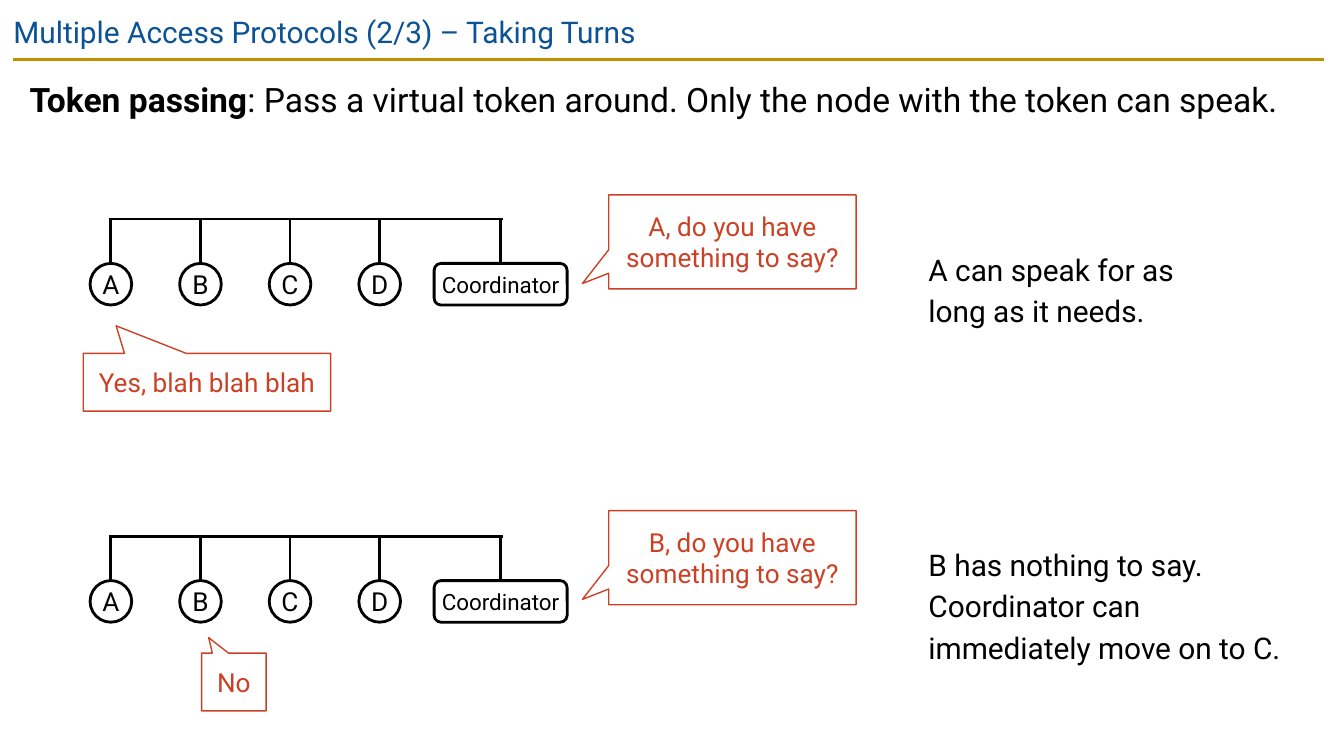
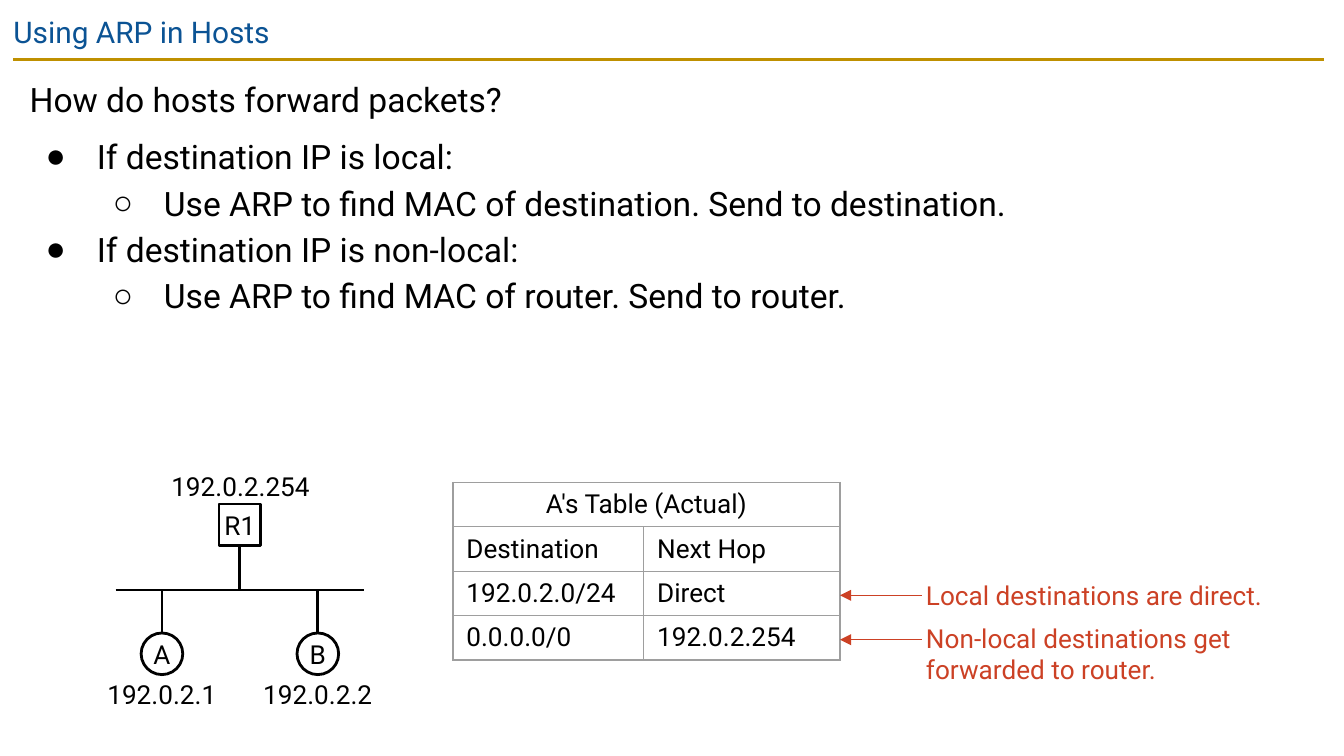
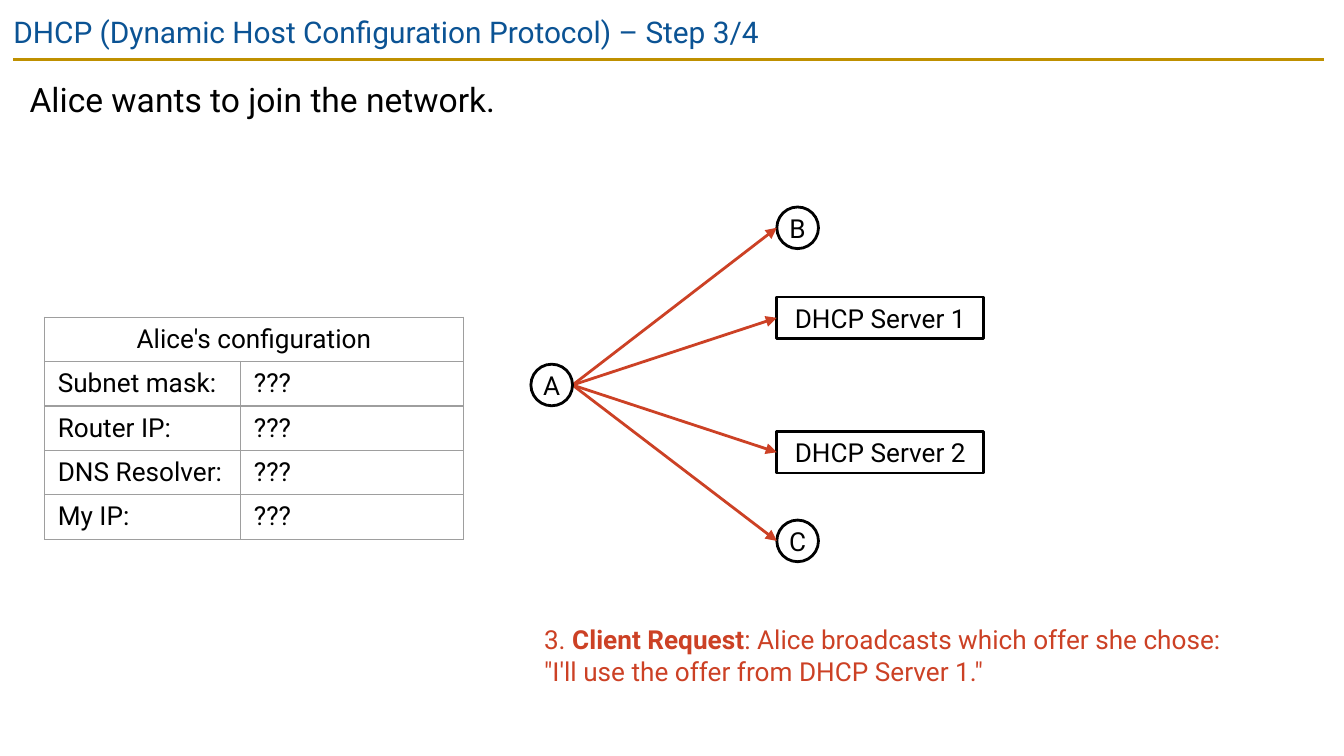
from dataclasses import dataclass
from typing import Optional, Sequence

from lxml import etree
from pptx import Presentation
from pptx.dml.color import RGBColor
from pptx.enum.shapes import MSO_CONNECTOR, MSO_SHAPE
from pptx.enum.text import MSO_ANCHOR, MSO_AUTO_SIZE, PP_ALIGN
from pptx.oxml.ns import qn
from pptx.util import Inches, Pt

STRAIGHT = MSO_CONNECTOR.STRAIGHT
OVAL, RECT, ROUNDED = MSO_SHAPE.OVAL, MSO_SHAPE.RECTANGLE, MSO_SHAPE.ROUNDED_RECTANGLE
CALLOUT = MSO_SHAPE.ROUNDED_RECTANGULAR_CALLOUT
TOP, MIDDLE = MSO_ANCHOR.TOP, MSO_ANCHOR.MIDDLE
LEFT, CENTER = PP_ALIGN.LEFT, PP_ALIGN.CENTER
SITE_TOP, SITE_LEFT, SITE_BOTTOM = 0, 1, 2


@dataclass(frozen=True)
class Theme:
    font: str = "Roboto"
    ink: str = "000000"
    paper: str = "FFFFFF"
    title: str = "0B5394"
    rule: str = "BF9000"
    accent: str = "CC4125"
    grid: str = "9E9E9E"
    body_size: int = 18
    title_size: int = 16
    note_size: int = 16
    label_size: int = 14
    small_size: int = 12
    thick: float = 1.5
    thin: float = 0.75
    spacing: float = 1.15


T = Theme()
NODE = 0.31  # diameter of a node, height of a box
HALF = NODE / 2


@dataclass(frozen=True)
class Run:
    text: str
    bold: bool = False


@dataclass(frozen=True)
class Para:
    runs: Sequence[Run]
    level: int = 0
    bullet: str = ""
    before: float = 0


@dataclass(frozen=True)
class Style:
    size: int = T.label_size
    color: str = T.ink
    align: PP_ALIGN = LEFT
    spacing: Optional[float] = None


@dataclass(frozen=True)
class Box:
    x: float
    y: float
    w: float
    h: float

    def lengths(self):
        return [Inches(v) for v in (self.x, self.y, self.w, self.h)]


@dataclass(frozen=True)
class Callout:
    text: str
    box: Box
    tip: tuple


@dataclass(frozen=True)
class Round:
    """One turn of the token: the bus, what is said, and the remark."""
    top: float
    callouts: Sequence[Callout]
    remark: Sequence[str]
    remark_box: Box


LABEL = Style(align=CENTER)
SMALL = Style(T.small_size, align=CENTER)
RED = Style(color=T.accent)
RED_CENTER = Style(color=T.accent, align=CENTER)
TITLE = Style(T.title_size, T.title)
BODY = Style(T.body_size, spacing=T.spacing)
NOTE = Style(T.note_size, spacing=T.spacing)


def plain(*lines: str) -> list:
    return [Para([Run(line)]) for line in lines]


# Text
def write(tf, paras: Sequence[Para], style: Style) -> None:
    tf.word_wrap = True
    for i, para in enumerate(paras):
        p = tf.paragraphs[0] if i == 0 else tf.add_paragraph()
        p.alignment = style.align
        p.level = para.level
        p.space_before = Pt(para.before)
        if style.spacing:
            p.line_spacing = style.spacing
        for run in para.runs:
            r = p.add_run()
            r.text = run.text
            r.font.name, r.font.size, r.font.bold = T.font, Pt(style.size), run.bold
            r.font.color.rgb = RGBColor.from_string(style.color)


def set_frame(tf, margin: float, anchor=TOP) -> None:
    tf.margin_left = tf.margin_right = Inches(margin)
    tf.margin_top = tf.margin_bottom = Inches(margin)
    tf.vertical_anchor = anchor
    tf.auto_size = MSO_AUTO_SIZE.NONE


def set_bullet(p, para: Para) -> None:
    pPr = p._p.get_or_add_pPr()
    indent = 0.38 if para.bullet else 0
    margin = 0.5 * (para.level + 1) if para.bullet else 0
    pPr.set("marL", str(Inches(margin)))
    pPr.set("indent", str(-Inches(indent)))
    if not para.bullet:
        etree.SubElement(pPr, qn("a:buNone"))
        return
    color = etree.SubElement(pPr, qn("a:buClr"))
    etree.SubElement(color, qn("a:srgbClr"), val=T.ink)
    etree.SubElement(pPr, qn("a:buChar"), char=para.bullet)


def add_text(s, box: Box, paras: Sequence[Para], style: Style, margin: float = 0.1) -> None:
    tf = s.shapes.add_textbox(*box.lengths()).text_frame
    set_frame(tf, margin)
    write(tf, paras, style)


# Lines and shapes
def add_line(s, start: tuple, end: tuple, color: str = T.ink, width: float = T.thick,
             arrow: bool = False):
    points = [Inches(v) for v in (*start, *end)]
    line = s.shapes.add_connector(STRAIGHT, *points)
    line.line.color.rgb = RGBColor.from_string(color)
    line.line.width = Pt(width)
    spPr = line.element.spPr
    if arrow:
        etree.SubElement(spPr.find(qn("a:ln")), qn("a:tailEnd"), type="triangle")
    etree.SubElement(spPr, qn("a:effectLst"))
    return line


def add_box(s, kind, box: Box, text: str, style: Style = LABEL, fill: Optional[str] = T.paper,
            width: float = T.thick, adjust: Sequence[float] = ()):
    sp = s.shapes.add_shape(kind, *box.lengths())
    sp.shadow.inherit = False
    if fill:
        sp.fill.solid()
        sp.fill.fore_color.rgb = RGBColor.from_string(fill)
    else:
        sp.fill.background()
    sp.line.color.rgb = RGBColor.from_string(style.color)
    sp.line.width = Pt(width)
    for i, value in enumerate(adjust):
        sp.adjustments[i] = value
    set_frame(sp.text_frame, 0, MIDDLE)
    write(sp.text_frame, plain(text), style)
    return sp


def add_node(s, name: str, x: float, y: float):
    return add_box(s, OVAL, Box(x, y, NODE, NODE), name)


def add_callout(s, callout: Callout) -> None:
    add_box(s, CALLOUT, callout.box, callout.text, RED_CENTER, None, T.thin, (*callout.tip, 0))


# Tables
def set_borders(cell) -> None:
    tcPr = cell._tc.get_or_add_tcPr()
    for i, side in enumerate(("lnL", "lnR", "lnT", "lnB")):
        ln = etree.Element(qn(f"a:{side}"), w=str(Pt(T.thin)))
        fill = etree.SubElement(ln, qn("a:solidFill"))
        etree.SubElement(fill, qn("a:srgbClr"), val=T.grid)
        tcPr.insert(i, ln)


def add_grid(s, x: float, y: float, widths: Sequence[float], heading: str,
             rows: Sequence[tuple], row_height: float = 0.33) -> None:
    count = len(rows) + 1
    box = Box(x, y, sum(widths), row_height * count)
    table = s.shapes.add_table(count, len(widths), *box.lengths()).table
    table.first_row = table.horz_banding = False
    for column, width in zip(table.columns, widths):
        column.width = Inches(width)
    table.cell(0, 0).merge(table.cell(0, len(widths) - 1))
    write(table.cell(0, 0).text_frame, plain(heading), LABEL)
    for i, row in enumerate(rows, start=1):
        for j, text in enumerate(row):
            write(table.cell(i, j).text_frame, plain(text), Style())
    for cell in table.iter_cells():
        cell.fill.background()
        set_borders(cell)


# Shared frame of every slide
def add_slide(prs, title: str, body: Sequence[Para], body_height: float):
    s = prs.slides.add_slide(prs.slide_layouts[1])
    parts = ((s.shapes.title, Box(0, 0, 10, 0.43), plain(title), TITLE),
             (s.placeholders[1], Box(0.12, 0.44, 9.74, body_height), body, BODY))
    for sp, box, paras, style in parts:
        sp.left, sp.top, sp.width, sp.height = box.lengths()
        set_frame(sp.text_frame, 0.1)
        write(sp.text_frame, paras, style)
    for p, para in zip(s.placeholders[1].text_frame.paragraphs, body):
        set_bullet(p, para)
    add_line(s, (0.1, 0.44), (9.85, 0.44), T.rule)
    return s


# Slide 1: token passing
def add_bus(s, top: float) -> None:
    left, pitch, rail = 0.67, 2 / 3, top - 0.33
    stations = [(add_node(s, name, left + i * pitch, top), left + i * pitch + HALF)
                for i, name in enumerate("ABCD")]
    coordinator = add_box(s, ROUNDED, Box(3.23, top, 0.99, NODE), "Coordinator", SMALL)
    stations.append((coordinator, 3.23 + 0.99 / 2))
    for sp, x in stations:
        add_line(s, (x, top), (x, rail)).begin_connect(sp, SITE_TOP)
    add_line(s, (0.81, rail), (3.74, rail))


def build_token_passing(prs) -> None:
    body = [Para([Run("Token passing", True),
                  Run(": Pass a virtual token around. Only the node with the token can speak.")])]
    s = add_slide(prs, "Multiple Access Protocols (2/3) – Taking Turns", body, 0.7)
    ask = (-0.607, 0.444)
    rounds = (
        Round(1.96,
              (Callout("A, do you have something to say?", Box(4.53, 1.45, 1.84, 0.7), ask),
               Callout("Yes, blah blah blah", Box(0.62, 2.63, 1.84, 0.43), (-0.367, -0.978))),
              ("A can speak for as long as it needs.",), Box(6.81, 1.73, 2.21, 0.78)),
        Round(4.32,
              (Callout("B, do you have something to say?", Box(4.53, 3.8, 1.84, 0.7), ask),
               Callout("No", Box(1.5, 4.86, 0.48, 0.43), (-0.39, -0.768))),
              ("B has nothing to say.", "Coordinator can immediately move on to C."),
              Box(6.81, 3.93, 2.92, 1.09)),
    )
    for turn in rounds:
        add_bus(s, turn.top)
        for callout in turn.callouts:
            add_callout(s, callout)
        add_text(s, turn.remark_box, plain(*turn.remark), NOTE)


# Slide 2: ARP in hosts
def build_arp(prs) -> None:
    body = [
        Para([Run("How do hosts forward packets?")]),
        Para([Run("If destination IP is local:")], 0, "●", 6),
        Para([Run("Use ARP to find MAC of destination. Send to destination.")], 1, "○"),
        Para([Run("If destination IP is non-local:")], 0, "●"),
        Para([Run("Use ARP to find MAC of router. Send to router.")], 1, "○"),
    ]
    s = add_slide(prs, "Using ARP in Hosts", body, 2.37)
    add_grid(s, 3.37, 3.59, (1.42, 1.46), "A's Table (Actual)",
             (("Destination", "Next Hop"), ("192.0.2.0/24", "Direct"),
              ("0.0.0.0/0", "192.0.2.254")))

    # Local network
    rail, router_x, router_y, host_y = 4.39, 1.63, 3.75, 4.71
    router = add_box(s, RECT, Box(router_x, router_y, NODE, NODE), "R1")
    add_line(s, (0.86, rail), (2.71, rail))
    center = router_x + HALF
    drop = add_line(s, (center, router_y + NODE), (center, rail))
    drop.begin_connect(router, SITE_BOTTOM)
    add_text(s, Box(1.25, 3.5, 1.08, 0.24), plain("192.0.2.254"), LABEL, 0)
    for name, address, x in (("A", "192.0.2.1", 1.05), ("B", "192.0.2.2", 2.21)):
        host, center = add_node(s, name, x, host_y), x + HALF
        add_line(s, (center, host_y), (center, rail)).begin_connect(host, SITE_TOP)
        add_text(s, Box(center - 0.43, 5.05, 0.86, 0.24), plain(address), LABEL, 0)

    # Remarks on the table rows
    for text, arrow_y, y, h in (
            ("Local destinations are direct.", 4.43, 4.28, 0.3),
            ("Non-local destinations get forwarded to router.", 4.76, 4.6, 0.53)):
        add_line(s, (6.86, arrow_y), (6.25, arrow_y), T.accent, T.thin, arrow=True)
        add_text(s, Box(6.86, y, 2.61, h), plain(text), RED, 0.03)


# Slide 3: DHCP request
def build_dhcp(prs) -> None:
    s = add_slide(prs, "DHCP (Dynamic Host Configuration Protocol) – Step 3/4",
                  plain("Alice wants to join the network."), 0.79)
    fields = ("Subnet mask:", "Router IP:", "DNS Resolver:", "My IP:")
    add_grid(s, 0.33, 2.36, (1.46, 1.66), "Alice's configuration",
             [(field, "???") for field in fields])

    # Broadcast from A to every receiver
    client_x, client_y, receiver_x = 3.95, 2.71, 5.78
    start = (client_x + NODE, client_y + HALF)
    for name, y in (("B", 1.54), ("C", 3.87)):
        add_node(s, name, receiver_x, y)
        add_line(s, start, (receiver_x, y + HALF), T.accent, arrow=True)
    for name, y in (("DHCP Server 1", 2.21), ("DHCP Server 2", 3.21)):
        server = add_box(s, RECT, Box(receiver_x, y, 1.54, NODE), name)
        arrow = add_line(s, start, (receiver_x, y + HALF), T.accent, arrow=True)
        arrow.end_connect(server, SITE_LEFT)
    add_node(s, "A", client_x, client_y)

    step = Para([Run("3. "), Run("Client Request", True),
                 Run(": Alice broadcasts which offer she chose:")])
    add_text(s, Box(3.95, 4.54, 5.43, 0.67),
             [step, *plain("\"I'll use the offer from DHCP Server 1.\"")], RED)


def main() -> None:
    prs = Presentation()
    prs.slide_width = Inches(10)
    prs.slide_height = Inches(10 * 9 / 16)
    build_token_passing(prs)
    build_arp(prs)
    build_dhcp(prs)
    prs.save("out.pptx")


if __name__ == "__main__":
    main()
